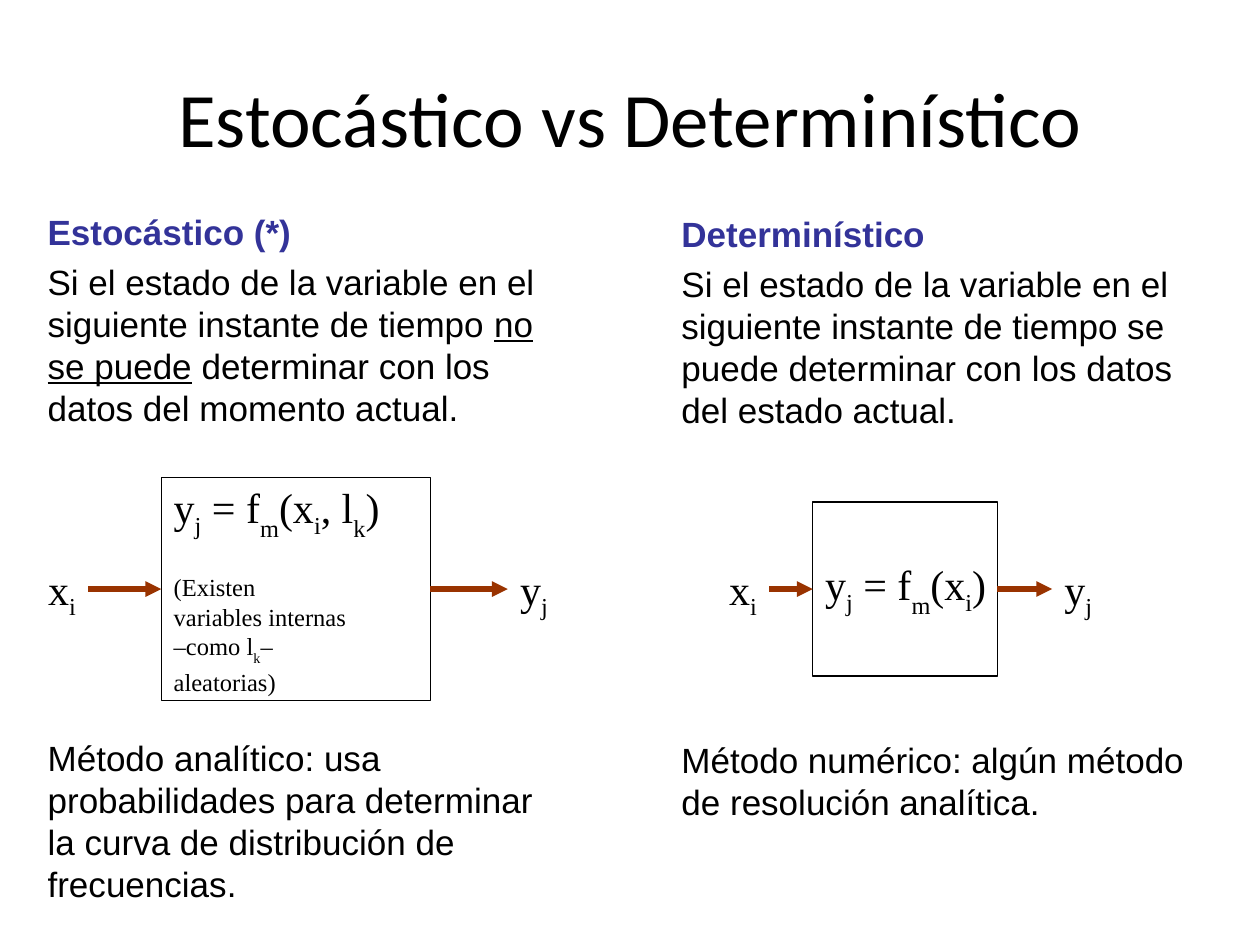
from lxml import etree
from pptx import Presentation
from pptx.dml.color import RGBColor
from pptx.enum.shapes import MSO_CONNECTOR, MSO_SHAPE
from pptx.enum.text import MSO_ANCHOR, PP_ALIGN
from pptx.oxml.ns import qn
from pptx.util import Pt

LEFT, CENTER, RIGHT = PP_ALIGN.LEFT, PP_ALIGN.CENTER, PP_ALIGN.RIGHT
TOP, MIDDLE = MSO_ANCHOR.TOP, MSO_ANCHOR.MIDDLE
BLACK, WHITE, NAVY, RUST = "000000", "FFFFFF", "333399", "993300"
SANS, SERIF = "Arial", "Times New Roman"
SIDE_LEFT, SIDE_RIGHT = 1, 3
MID_Y = 336.6  # height shared by both diagrams' arrows
LABEL_TOP, LABEL_HEIGHT = 318.24, 36.72

# A run is (text, format); formats are "", "sub", "deep" (lower subscript), "bold", "u".
TITLE = [("Estocástico vs Determinístico", "")]
INPUT = [("x", ""), ("i", "sub")]
OUTPUT = [("y", ""), ("j", "sub")]
# A paragraph is (runs, size, space before).
COLUMNS = [
    {
        "text_area": (20.16, 116.64, 311.76, 368.64),
        "heading": "Estocástico (*)",
        "definition": [
            ("Si el estado de la variable en el siguiente instante de tiempo ", ""),
            ("no se puede", "u"),
            (" determinar con los datos del momento actual.", ""),
        ],
        "method": "Método analítico: usa probabilidades para determinar la curva "
                  "de distribución de frecuencias.",
        "model_area": (92.16, 153.72, 127.44),  # left, width, height
        "model": [
            (OUTPUT + [(" = f", ""), ("m", "deep"), ("(x", ""), ("i", "sub"),
                       (", l", ""), ("k", "deep"), (")", "")], 24, 0),
            ([("(Existen", "")], 14, 17),
            ([("variables internas", "")], 14, 0),
            ([("–como l", ""), ("k", "deep"), ("–", "")], 14, 0),
            ([("aleatorias)", "")], 14, 0),
        ],
        "input_area": (-10.08, 60.48),  # left, width
        "output_area": (290.16, 52.56),
    },
    {
        "text_area": (382.32, 118.08, 318.24, 356.4),
        "heading": "Determinístico",
        "definition": [
            ("Si el estado de la variable en el siguiente instante de tiempo se "
             "puede determinar con los datos del estado actual.", ""),
        ],
        "method": "Método numérico: algún método de resolución analítica.",
        "model_area": (464.4, 105.48, 99.36),
        "model": [
            (OUTPUT + [(" = f", ""), ("m", "deep"), ("(x", ""), ("i", "sub"),
                       (")", "")], 24, 0),
        ],
        "input_area": (403.92, 35.64),
        "output_area": (601.2, 30.96),
    },
]
BASELINES = {"sub": "-25000", "deep": "-33000"}


def rgb(value):
    return RGBColor.from_string(value)


def write(shape, paragraphs, font, align=LEFT, anchor=TOP, wrap=True):
    frame = shape.text_frame
    frame.word_wrap = wrap
    frame.vertical_anchor = anchor
    frame.margin_left = frame.margin_right = Pt(7.2)
    frame.margin_top = frame.margin_bottom = Pt(3.6)
    for index, (runs, size, space_before) in enumerate(paragraphs):
        paragraph = frame.add_paragraph() if index else frame.paragraphs[0]
        paragraph.alignment = align
        if space_before:
            paragraph.space_before = Pt(space_before)
        for text, style in runs:
            run = paragraph.add_run()
            run.text = text
            run.font.name, run.font.size = font, Pt(size)
            run.font.bold = style == "bold"
            run.font.underline = style == "u"
            run.font.color.rgb = rgb(NAVY if style == "bold" else BLACK)
            if style in BASELINES:
                run._r.get_or_add_rPr().set("baseline", BASELINES[style])


def add_text(slide, area, *args, **options):
    write(slide.shapes.add_textbox(*map(Pt, area)), *args, **options)


def add_model(slide, area, paragraphs):
    left, width, height = area
    model = slide.shapes.add_shape(MSO_SHAPE.RECTANGLE, Pt(left), Pt(MID_Y - height / 2),
                                   Pt(width), Pt(height))
    model.shadow.inherit = False
    model.fill.solid()
    model.fill.fore_color.rgb = rgb(WHITE)
    model.line.color.rgb = rgb(BLACK)
    model.line.width = Pt(0.75)
    write(model, paragraphs, SERIF, anchor=MIDDLE, wrap=False)
    return model


def add_arrow(slide, start, end):
    arrow = slide.shapes.add_connector(MSO_CONNECTOR.STRAIGHT, Pt(start), Pt(MID_Y),
                                       Pt(end), Pt(MID_Y))
    arrow.line.color.rgb = rgb(RUST)
    arrow.line.width = Pt(3)
    etree.SubElement(arrow.line._get_or_add_ln(), qn("a:tailEnd"), type="triangle")
    etree.SubElement(arrow._element.spPr, qn("a:effectLst"))
    return arrow


def add_column(slide, column):
    add_text(slide, column["text_area"], [
        ([(column["heading"], "bold")], 20, 0),
        (column["definition"], 20, 4.5),
        ([(column["method"], "")], 20, 176),
    ], SANS)
    model = add_model(slide, column["model_area"], column["model"])
    model_left, model_width, _ = column["model_area"]
    input_left, input_width = column["input_area"]
    output_left, output_width = column["output_area"]
    add_arrow(slide, input_left + input_width, model_left).end_connect(model, SIDE_LEFT)
    add_arrow(slide, model_left + model_width, output_left).begin_connect(model, SIDE_RIGHT)
    add_text(slide, (input_left, LABEL_TOP, input_width, LABEL_HEIGHT),
             [(INPUT, 24, 0)], SERIF, align=RIGHT)
    add_text(slide, (output_left, LABEL_TOP, output_width, LABEL_HEIGHT),
             [(OUTPUT, 24, 0)], SERIF)


def main():
    deck = Presentation()
    deck.slide_width, deck.slide_height = Pt(720), Pt(540)
    slide = deck.slides.add_slide(deck.slide_layouts[6])
    add_text(slide, (36, 21.6, 648, 90), [(TITLE, 44, 0)], "Calibri",
             align=CENTER, anchor=MIDDLE)
    for column in COLUMNS:
        add_column(slide, column)
    deck.save("out.pptx")


if __name__ == "__main__":
    main()
